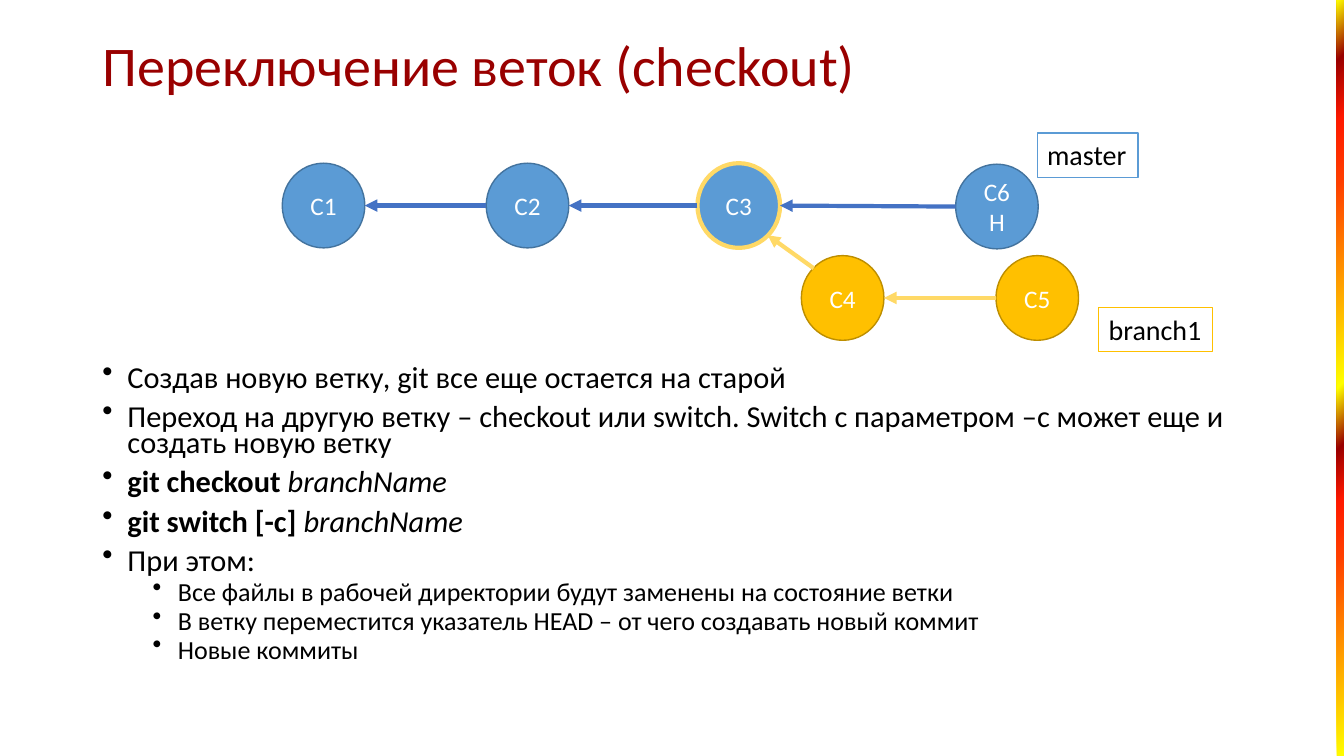
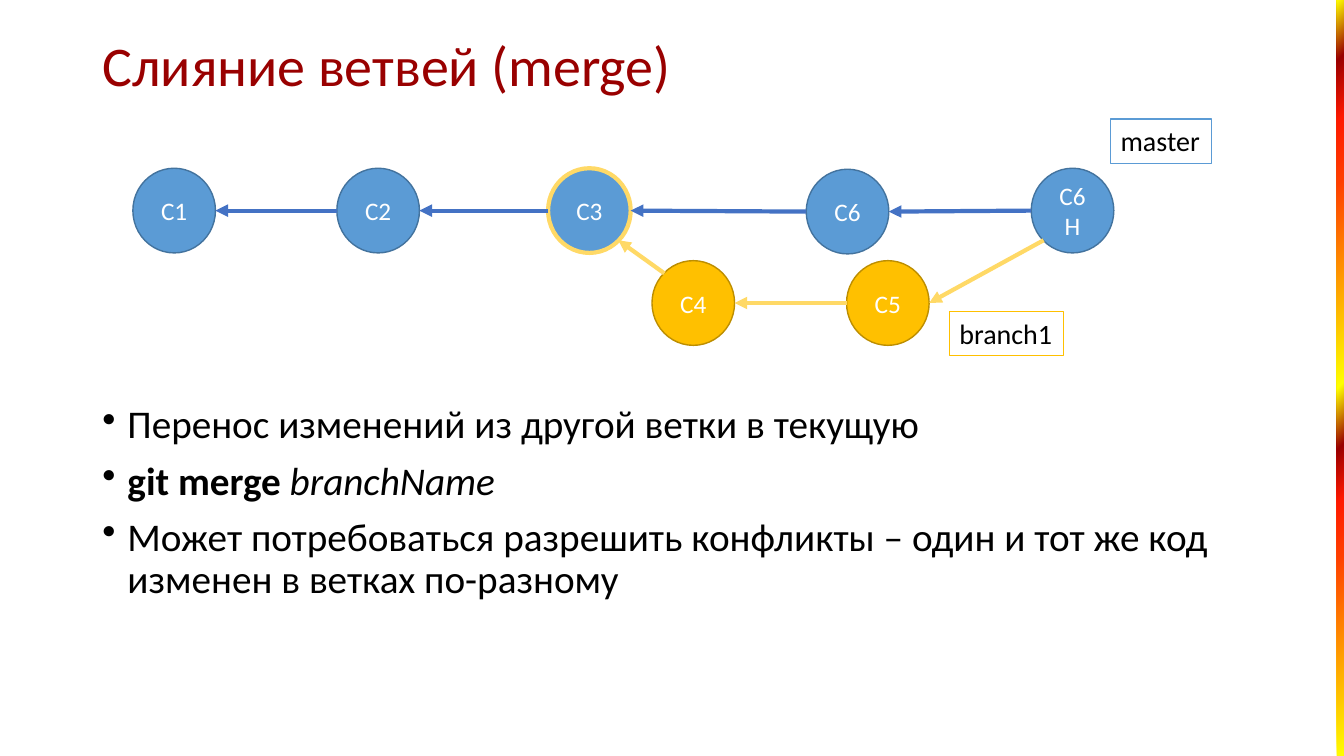
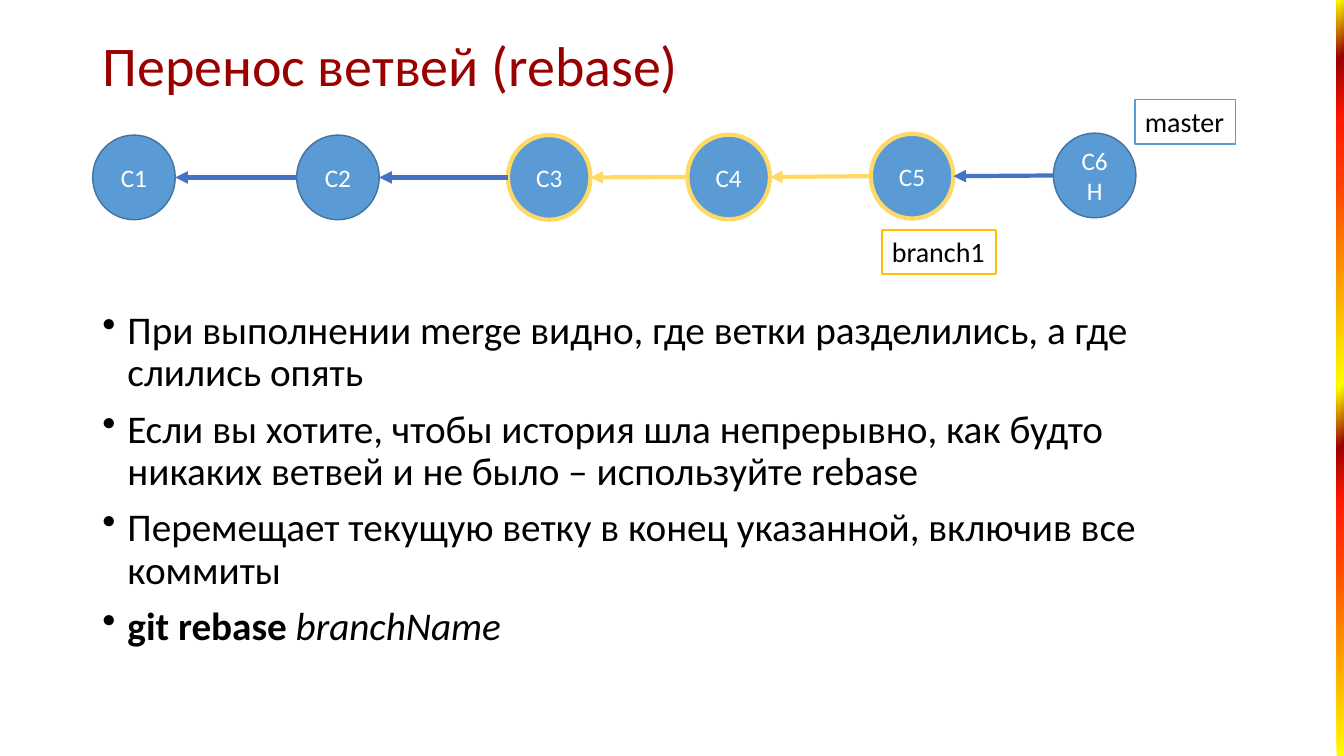
"""Build three slides on switching, merging and rebasing git branches."""
import lxml.etree
import pptx
import pptx.dml.color
import pptx.enum.shapes
import pptx.enum.text
import pptx.oxml.ns
import pptx.util

Pt = pptx.util.Pt
qn = pptx.oxml.ns.qn
Shape = pptx.enum.shapes.MSO_SHAPE
Align = pptx.enum.text.PP_ALIGN
Anchor = pptx.enum.text.MSO_ANCHOR

FONT = "Calibri"
HUES = {
    "title": "990000", "text": "000000", "paper": "FFFFFF",
    "blue": "5B9BD5", "navy": "43739E", "arrow": "4472C4",
    "gold": "FFC000", "brown": "BD8E00", "sand": "FFD966",
}
KINDS = {
    "main": ("blue", "navy", 1),
    "fork": ("blue", "sand", 3),
    "side": ("gold", "brown", 1),
}
BAND = [(0, "FFFF00"), (27, "FF3D00"), (34, "FF1900"), (41, "990000"),
        (49, "FFFF00"), (76, "FF3D00"), (84, "FF1900"), (92, "990000"),
        (100, "FFFF00")]
WIDE, HIGH = 59, 60.5
SITES = {"left": (0, 0.5), "right": (1, 0.5), "upper left": (0.15, 0.15),
         "lower left": (0.15, 0.85), "lower right": (0.85, 0.85)}

TRUNK = [("C1", 0, 0, "main"), ("C2", 145.7, 0, "main"), ("C3", 296.6, 0, "fork")]
SIDE = [("C4", 370.8, 66, "side"), ("C5", 509.8, 66, "side")]
BACK = [("C2", "C1", "arrow"), ("C3", "C2", "arrow")]
SPLIT = [("C4", "C3", "sand", "upper left", "lower right"), ("C5", "C4", "sand")]

PAGES = [
    {
        "title": "Переключение веток (checkout)",
        "start": (201.6, 116.6),
        "nodes": TRUNK + SIDE + [("C6H", 481, 0.7, "main")],
        "links": BACK + SPLIT + [("C6H", "C3", "arrow")],
        "tags": [("master", 740.9, 95, "blue"), ("branch1", 784.8, 219.6, "gold")],
        "top": 259.2, "size": 21.7, "lead": 0.7,
        "items": [
            "Создав новую ветку, git все еще остается на старой",
            "Переход на другую ветку – checkout или switch. Switch с параметром"
            " –c может еще и создать новую ветку",
            ("git checkout ", "branchName"),
            ("git switch [-c] ", "branchName"),
            "При этом:",
        ],
        "subs": [
            "Все файлы в рабочей директории будут заменены на состояние ветки",
            "В ветку переместится указатель HEAD – от чего создавать новый коммит",
            "Новые коммиты",
        ],
    },
    {
        "title": "Слияние ветвей (merge)",
        "start": (94.9, 120.2),
        "nodes": TRUNK + SIDE + [("C6", 481, 0.7, "main"), ("C6H", 641.7, 0, "main")],
        "links": BACK + SPLIT + [
            ("C6", "C3", "arrow"), ("C6H", "C6", "arrow"),
            ("C6H", "C5", "sand", "lower left", "right")],
        "tags": [("master", 793.4, 85, "blue"), ("branch1", 678.2, 222.5, "gold")],
        "top": 285.8, "size": 28, "lead": 0.9,
        "items": [
            "Перенос изменений из другой ветки в текущую",
            ("git merge ", "branchName"),
            "Может потребоваться разрешить конфликты – один и тот же код"
            " изменен в ветках по-разному",
        ],
        "subs": [],
    },
    {
        "title": "Перенос ветвей (rebase)",
        "start": (66.2, 96.5),
        "nodes": TRUNK + [("C4", 424.8, -0.3, "fork"), ("C5", 555.8, -0.9, "fork"),
                          ("C6H", 686.2, -1.4, "main")],
        "links": BACK + [("C4", "C3", "sand"), ("C5", "C4", "sand"),
                         ("C6H", "C5", "arrow")],
        "tags": [("master", 810.7, 71.3, "blue"), ("branch1", 630, 164.2, "gold")],
        "top": 218.2, "size": 28, "lead": 0.9,
        "items": [
            "При выполнении merge видно, где ветки разделились, а где слились опять",
            "Если вы хотите, чтобы история шла непрерывно, как будто никаких ветвей"
            " и не было – используйте rebase",
            "Перемещает текущую ветку в конец указанной, включив все коммиты",
            ("git rebase ", "branchName"),
        ],
        "subs": [],
    },
]


def tint(name):
    return pptx.dml.color.RGBColor.from_string(HUES[name])


def paint(item, fill, edge, width):
    item.fill.solid()
    item.fill.fore_color.rgb = tint(fill)
    item.line.color.rgb = tint(edge)
    item.line.width = Pt(width)


def style(para, size, hue):
    para.font.name = FONT
    para.font.size = Pt(size)
    para.font.color.rgb = tint(hue)


def place(item, left, top, width, height):
    item.left, item.top, item.width, item.height = map(Pt, (left, top, width, height))


def add_band(slide, layout):
    band = slide.shapes.add_shape(Shape.RECTANGLE, Pt(955), 0, Pt(5), Pt(540))
    band.shadow.inherit = False
    band.line.fill.background()
    band.fill.gradient()
    grad = band.element.spPr.find(qn("a:gradFill"))
    stops = grad.find(qn("a:gsLst"))
    for old in list(stops):
        stops.remove(old)
    for spot, hue in BAND:
        stop = lxml.etree.SubElement(stops, qn("a:gs"), pos=str(spot * 1000))
        lxml.etree.SubElement(stop, qn("a:srgbClr"), val=hue)
    grad.find(qn("a:lin")).set("ang", str(225 * 60000))
    layout.shapes.element.append(band.element)


def add_title(slide, text):
    title = slide.shapes.title
    place(title, 66, 10.8, 828, 76.3)
    frame = title.text_frame
    frame.text = text
    frame.vertical_anchor = Anchor.MIDDLE
    para = frame.paragraphs[0]
    para.alignment = Align.LEFT
    para.line_spacing = 0.9
    style(para, 40, "title")


def add_item(para, item, size, lead, level):
    para.level = level
    para.line_spacing = lead
    para.space_before = Pt(5 if level else 10)
    style(para, size, "text")
    props = para._p.get_or_add_pPr()
    props.set("marL", str(Pt(18 + 36 * level)))
    props.set("indent", str(Pt(-18)))
    mark = lxml.etree.Element(qn("a:buChar"), char="•")
    props.find(qn("a:defRPr")).addprevious(mark)
    if isinstance(item, str):
        para.add_run().text = item
        return
    order, name = para.add_run(), para.add_run()
    order.text, name.text = item
    order.font.bold = True
    name.font.italic = True


def add_body(slide, page):
    top = page["top"]
    box = slide.shapes.add_textbox(Pt(66), Pt(top), Pt(828), Pt(493 - top))
    frame = box.text_frame
    frame.word_wrap = True
    rows = [(item, page["size"], 0) for item in page["items"]]
    rows += [(item, 18.6, 1) for item in page["subs"]]
    for i, (item, size, level) in enumerate(rows):
        para = frame.add_paragraph() if i else frame.paragraphs[0]
        add_item(para, item, size, page["lead"], level)


def add_node(slide, text, left, top, kind):
    node = slide.shapes.add_shape(Shape.OVAL, Pt(left), Pt(top), Pt(WIDE), Pt(HIGH))
    node.shadow.inherit = False
    paint(node, *KINDS[kind])
    frame = node.text_frame
    frame.text = text
    frame.word_wrap = True
    frame.vertical_anchor = Anchor.MIDDLE
    para = frame.paragraphs[0]
    para.alignment = Align.CENTER
    style(para, 18, "paper")


def add_link(slide, spots, start, end, hue, out="left", into="right"):
    ends = [Pt(spots[name][axis] + SITES[site][axis] * (WIDE, HIGH)[axis])
            for name, site in ((start, out), (end, into)) for axis in (0, 1)]
    link = slide.shapes.add_connector(pptx.enum.shapes.MSO_CONNECTOR.STRAIGHT, *ends)
    link.line.color.rgb = tint(hue)
    link.line.width = Pt(3)
    lxml.etree.SubElement(link.line._get_or_add_ln(), qn("a:tailEnd"), type="triangle")
    lxml.etree.SubElement(link.element.spPr, qn("a:effectLst"))


def add_tag(slide, text, left, top, edge):
    width = 72 if text == "master" else 81.4
    tag = slide.shapes.add_textbox(Pt(left), Pt(top), Pt(width), Pt(31.7))
    paint(tag, "paper", edge, 1)
    frame = tag.text_frame
    frame.text = text
    frame.word_wrap = False
    frame.auto_size = pptx.enum.text.MSO_AUTO_SIZE.SHAPE_TO_FIT_TEXT
    style(frame.paragraphs[0], 20, "text")


def add_graph(slide, page):
    x, y = page["start"]
    spots = {name: (x + dx, y + dy) for name, dx, dy, kind in page["nodes"]}
    for name, dx, dy, kind in page["nodes"]:
        add_node(slide, name, *spots[name], kind)
    for link in page["links"]:
        add_link(slide, spots, *link)
    for tag in page["tags"]:
        add_tag(slide, *tag)


def main():
    deck = pptx.Presentation()
    deck.slide_width, deck.slide_height = Pt(960), Pt(540)
    layout = deck.slide_layouts[5]
    for i, page in enumerate(PAGES):
        slide = deck.slides.add_slide(layout)
        if i == 0:
            add_band(slide, layout)
        add_title(slide, page["title"])
        add_body(slide, page)
        add_graph(slide, page)
    deck.save("out.pptx")


main()
